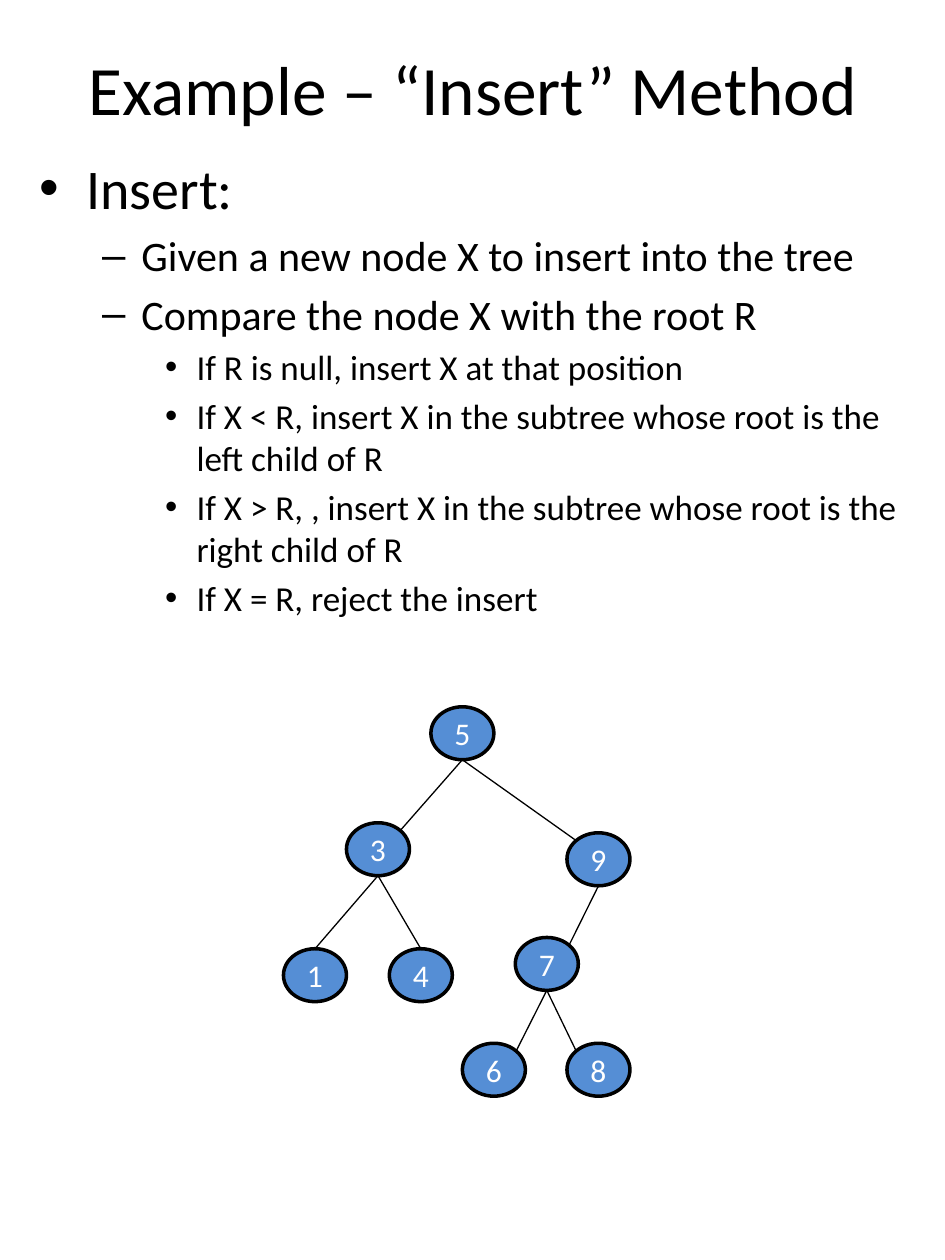
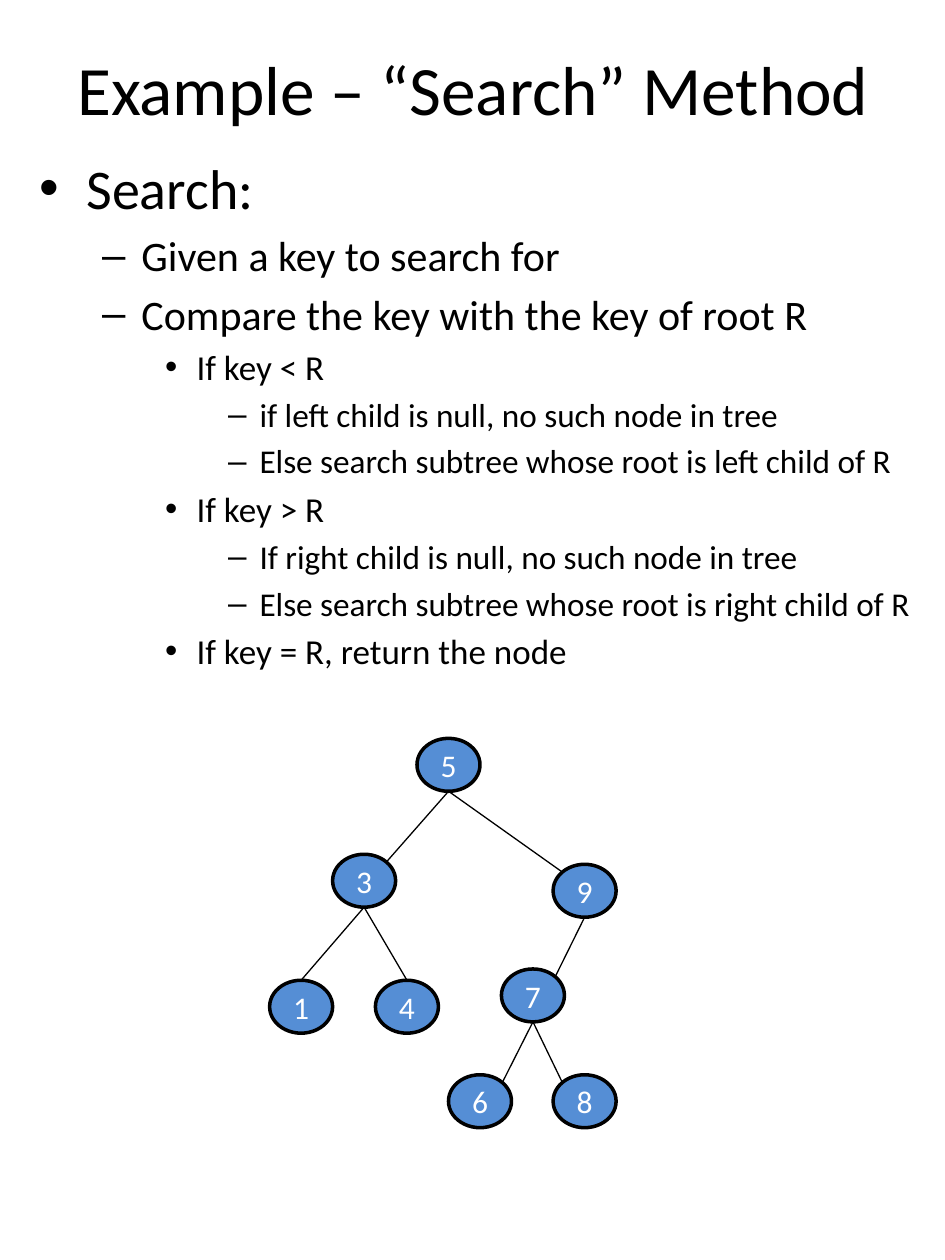
from math import sqrt

from lxml import etree
from pptx import Presentation
from pptx import util as u
from pptx.dml.color import RGBColor
from pptx.enum import shapes, text
from pptx.oxml.ns import qn

PAGES = [
    {
        "title": "Example – “Insert” Method",
        "root": (3.42, 5.61),
        "points": [
            (0, "Insert:"),
            (1, "Given a new node X to insert into the tree"),
            (1, "Compare the node X with the root R"),
            (2, "If R is null, insert X at that position"),
            (2, "If X < R, insert X in the subtree whose root is the left child of R"),
            (2, "If X > R, , insert X in the subtree whose root is the right child of R"),
            (2, "If X = R, reject the insert"),
        ],
    },
    {
        "title": "Example – “Search” Method",
        "root": (3.31, 5.86),
        "points": [
            (0, "Search:"),
            (1, "Given a key to search for"),
            (1, "Compare the key with the key of root R"),
            (2, "If key < R"),
            (3, "if left child is null, no such node in tree"),
            (3, "Else search subtree whose root is left child of R"),
            (2, "If key > R"),
            (3, "If right child is null, no such node in tree"),
            (3, "Else search subtree whose root is right child of R"),
            (2, "If key = R, return the node"),
        ],
    },
]

NODE_OFFSETS = {
    "5": (0, 0),
    "6": (0.25, 2.67),
    "8": (1.08, 2.67),
    "9": (1.08, 1),
    "7": (0.67, 1.83),
    "4": (-0.33, 1.92),
    "1": (-1.17, 1.92),
    "3": (-0.67, 0.92),
}
SIDE_EDGES = [("5", "3"), ("5", "9"), ("9", "7"), ("7", "6"), ("7", "8")]
TOP_EDGES = [("3", "1"), ("3", "4")]
NODE_WIDTH, NODE_HEIGHT = 0.5, 0.42

COLORS = {"ink": "000000", "node": "558ED5", "paper": "FFFFFF"}
FONT = "Calibri"
TITLE_SIZE, NODE_SIZE = 39.6, 18
LEVEL_SIZES = [32, 24, 20, 19]
TITLE_AREA = (0.38, 0.4, 6.75, 0.6)
BODY_AREA = (0.21, 1.17, 7.29, 8.25)


def color(name):
    return RGBColor.from_string(COLORS[name])


def place(shape, area):
    shape.left, shape.top, shape.width, shape.height = map(u.Inches, area)
    shape.text_frame.auto_size = text.MSO_AUTO_SIZE.NONE
    shape.text_frame.word_wrap = True


def write(para, words, size, ink="ink", align=None, level=0):
    para.level = level
    para.alignment = align
    span = para.add_run()
    span.text = words
    span.font.name = FONT
    span.font.size = u.Pt(size)
    span.font.color.rgb = color(ink)


def add_title(page, words):
    title = page.shapes.title
    place(title, TITLE_AREA)
    title.text_frame.vertical_anchor = text.MSO_ANCHOR.MIDDLE
    write(title.text_frame.paragraphs[0], words, TITLE_SIZE, align=text.PP_ALIGN.CENTER)


def add_points(page, points):
    body = page.placeholders[1]
    place(body, BODY_AREA)
    frame = body.text_frame
    for index, (level, words) in enumerate(points):
        para = frame.add_paragraph() if index else frame.paragraphs[0]
        write(para, words, LEVEL_SIZES[level], level=level)
    frame.paragraphs[0].space_before = u.Pt(0)


def add_node(group, key, left, top):
    node = group.shapes.add_shape(
        shapes.MSO_SHAPE.OVAL,
        *map(u.Inches, (left, top, NODE_WIDTH, NODE_HEIGHT)),
    )
    node.shadow.inherit = False
    node.fill.solid()
    node.fill.fore_color.rgb = color("node")
    node.line.color.rgb = color("ink")
    node.line.width = u.Pt(2)
    node.text_frame.vertical_anchor = text.MSO_ANCHOR.MIDDLE
    write(node.text_frame.paragraphs[0], key, NODE_SIZE, ink="paper",
          align=text.PP_ALIGN.CENTER)


def add_edge(group, start, end):
    edge = group.shapes.add_connector(
        shapes.MSO_CONNECTOR.STRAIGHT, *map(u.Inches, (*start, *end))
    )
    edge.line.color.rgb = color("ink")
    edge.line.width = u.Pt(0.75)
    etree.SubElement(edge._element.spPr, qn("a:effectLst"))


def add_tree(page, root):
    group = page.shapes.add_group_shape()
    spots = {key: (root[0] + x, root[1] + y) for key, (x, y) in NODE_OFFSETS.items()}
    for key, (left, top) in spots.items():
        add_node(group, key, left, top)
    for parent, child in SIDE_EDGES + TOP_EDGES:
        parent_x, parent_y = spots[parent]
        child_x, child_y = spots[child]
        start = (parent_x + NODE_WIDTH / 2, parent_y + NODE_HEIGHT)
        if (parent, child) in TOP_EDGES:
            end = (child_x + NODE_WIDTH / 2, child_y)
        else:
            side = 1 if child_x < parent_x else -1
            end = (
                child_x + NODE_WIDTH / 2 * (1 + side / sqrt(2)),
                child_y + NODE_HEIGHT / 2 * (1 - 1 / sqrt(2)),
            )
        add_edge(group, start, end)


def main():
    deck = Presentation()
    deck.slide_width, deck.slide_height = u.Inches(7.5), u.Inches(10)
    for content in PAGES:
        page = deck.slides.add_slide(deck.slide_layouts[1])
        add_title(page, content["title"])
        add_points(page, content["points"])
        add_tree(page, content["root"])
    deck.save("out.pptx")


if __name__ == "__main__":
    main()
